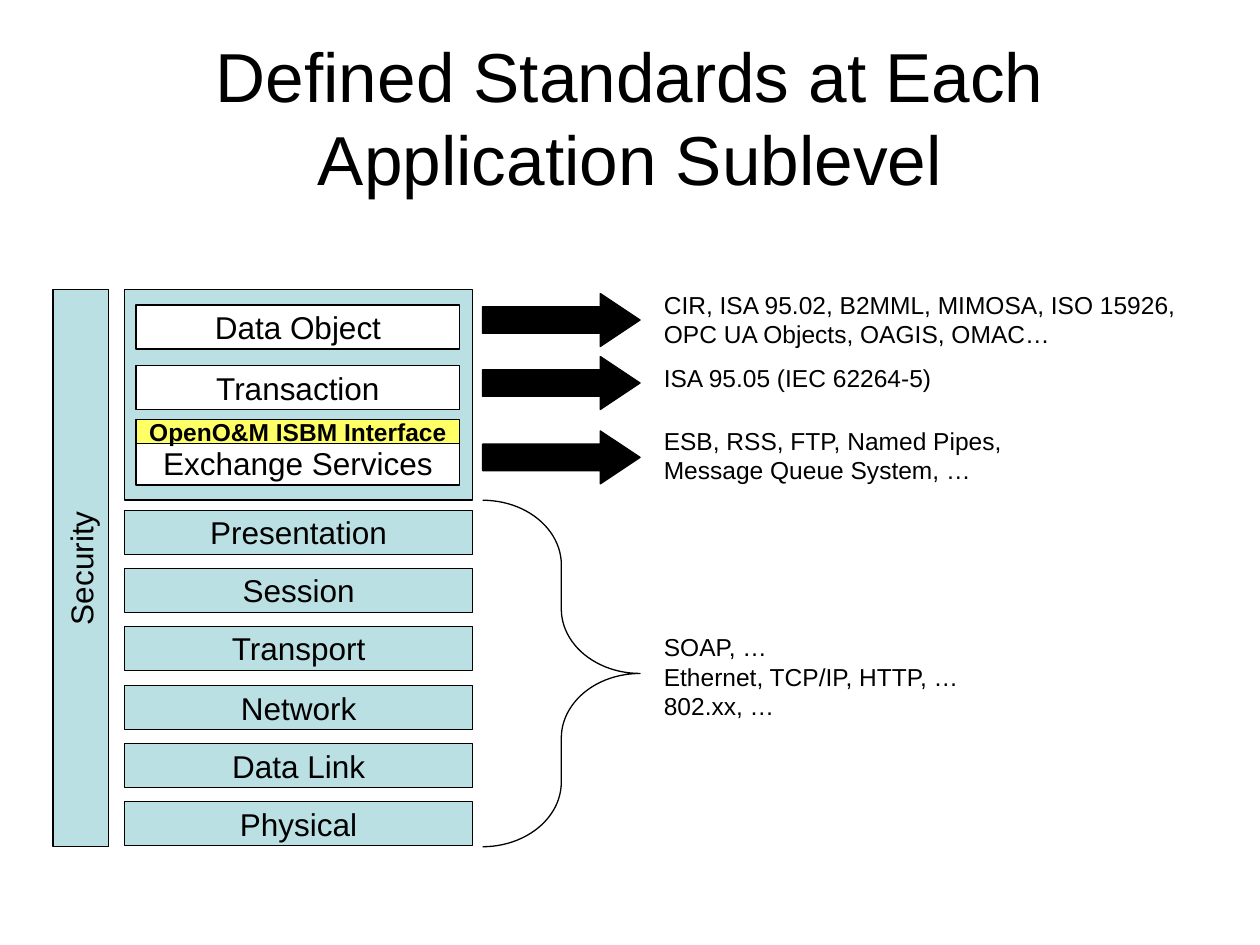
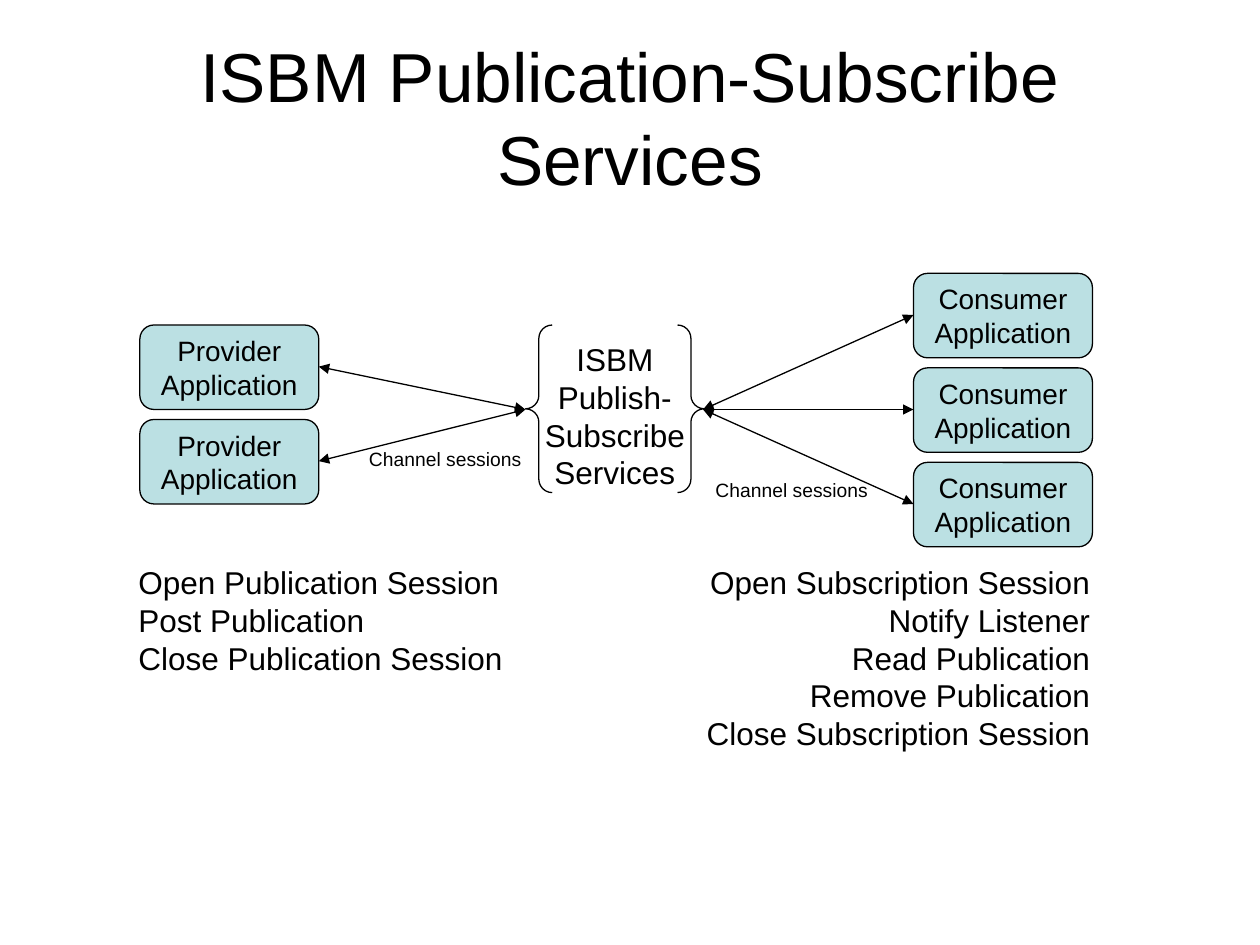
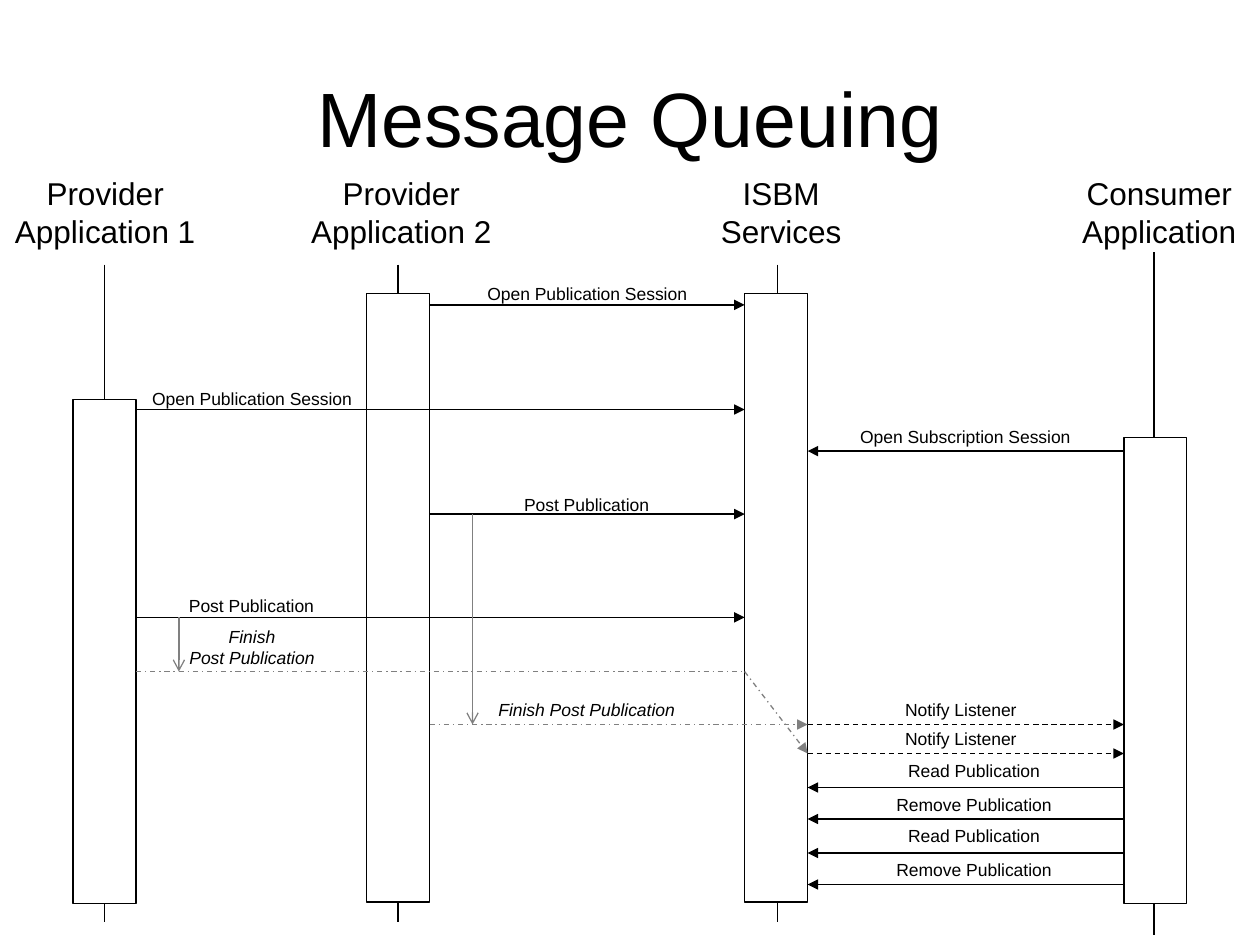
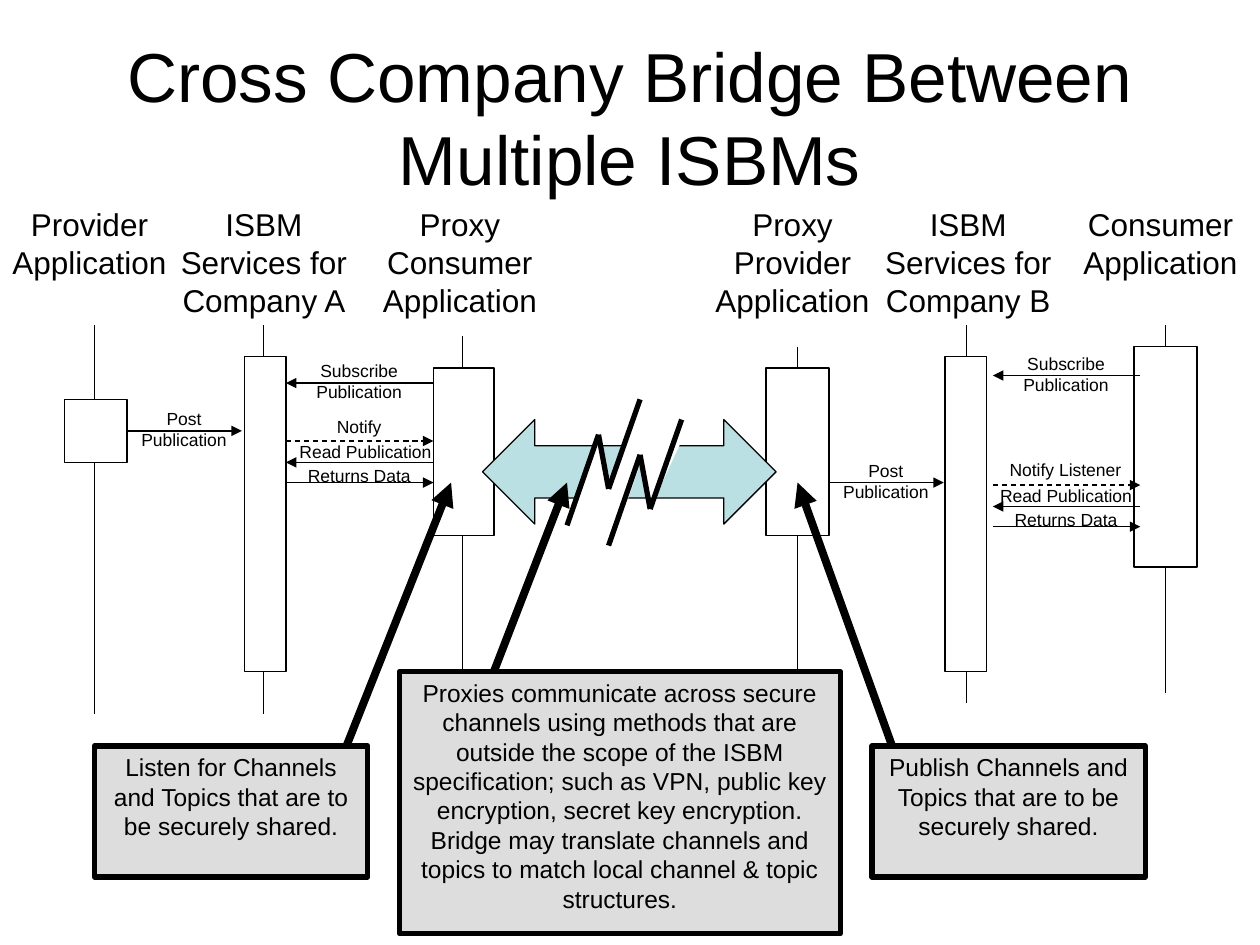
from dataclasses import dataclass
from typing import Optional

from lxml.etree import SubElement
from pptx import Presentation
from pptx.dml.color import RGBColor
from pptx.enum.dml import MSO_LINE_DASH_STYLE as Dash
from pptx.enum.shapes import MSO_AUTO_SHAPE_TYPE as Geometry
from pptx.enum.shapes import MSO_CONNECTOR as Connector
from pptx.enum.text import MSO_ANCHOR as Anchor
from pptx.enum.text import MSO_AUTO_SIZE as AutoSize
from pptx.enum.text import PP_ALIGN as Align
from pptx.oxml.ns import qn
from pptx.slide import Slide
from pptx.text.text import TextFrame
from pptx.util import Pt

PX = 9144
PAGE_WIDTH, PAGE_HEIGHT = 1000, 750
FONT = "Arial"
BLACK = RGBColor(0x00, 0x00, 0x00)
WHITE = RGBColor(0xFF, 0xFF, 0xFF)
GREY = RGBColor(0x80, 0x80, 0x80)
LIGHT_GREY = RGBColor(0xDD, 0xDD, 0xDD)
TEAL = RGBColor(0xBB, 0xE0, 0xE3)
YELLOW = RGBColor(0xFF, 0xFF, 0x66)
HAIRLINE, FRAME, POINTER = 0.75, 3, 4.5


@dataclass(frozen=True)
class Block:
    left: int
    top: int
    width: int
    height: int
    text: str = ""
    fill: Optional[RGBColor] = WHITE
    size: float = 18
    bold: bool = False
    geometry: Geometry = Geometry.RECTANGLE
    adjustments: tuple[float, ...] = ()
    weight: float = HAIRLINE
    rotation: int = 0
    wrap: bool = False
    anchor: Anchor = Anchor.MIDDLE


@dataclass(frozen=True)
class Label:
    left: int
    top: int
    width: int
    text: str
    size: float = 10
    align: Align = Align.CENTER
    italic: bool = False


@dataclass(frozen=True)
class Line:
    x1: int
    y1: int
    x2: int
    y2: int
    tail: str = "triangle"
    head: str = ""
    color: RGBColor = BLACK
    weight: float = HAIRLINE
    dash: Optional[Dash] = None


@dataclass(frozen=True)
class Lifeline:
    label: Label
    axis: int
    start: int
    end: int
    bar: Block


def write(frame: TextFrame, text: str, size: float, align: Align,
          bold: bool = False, italic: bool = False) -> None:
    frame.text = text
    for para in frame.paragraphs:
        para.alignment = align
        font = para.font
        font.name, font.size = FONT, Pt(size)
        font.bold, font.italic = bold, italic
        font.color.rgb = BLACK


def draw_block(page: Slide, block: Block) -> None:
    shape = page.shapes.add_shape(
        block.geometry, block.left * PX, block.top * PX, block.width * PX, block.height * PX)
    shape.shadow.inherit = False
    shape.rotation = block.rotation
    for index, value in enumerate(block.adjustments):
        shape.adjustments[index] = value
    if block.fill is None:
        shape.fill.background()
    else:
        shape.fill.solid()
        shape.fill.fore_color.rgb = block.fill
    shape.line.color.rgb = BLACK
    shape.line.width = Pt(block.weight)
    if block.text:
        frame = shape.text_frame
        frame.word_wrap = block.wrap
        frame.vertical_anchor = block.anchor
        write(frame, block.text, block.size, Align.CENTER, bold=block.bold)


def draw_label(page: Slide, label: Label) -> None:
    rows = label.text.count("\n") + 1
    height = 10 + round(rows * label.size * 1.67)
    box = page.shapes.add_textbox(
        label.left * PX, label.top * PX, label.width * PX, height * PX)
    frame = box.text_frame
    frame.word_wrap = False
    frame.auto_size = AutoSize.SHAPE_TO_FIT_TEXT
    write(frame, label.text, label.size, label.align, italic=label.italic)


def draw_line(page: Slide, line: Line) -> None:
    connector = page.shapes.add_connector(
        Connector.STRAIGHT, line.x1 * PX, line.y1 * PX, line.x2 * PX, line.y2 * PX)
    connector.line.color.rgb = line.color
    connector.line.width = Pt(line.weight)
    if line.dash is not None:
        connector.line.dash_style = line.dash
    outline = connector.line._get_or_add_ln()
    for tag, kind in (("a:headEnd", line.head), ("a:tailEnd", line.tail)):
        if kind:
            SubElement(outline, qn(tag)).set("type", kind)
    SubElement(connector._element.spPr, qn("a:effectLst"))


def draw_all(page: Slide, *items: Block | Label | Line) -> None:
    for item in items:
        if isinstance(item, Block):
            draw_block(page, item)
        elif isinstance(item, Label):
            draw_label(page, item)
        else:
            draw_line(page, item)


def draw_lifelines(page: Slide, lifelines: list[Lifeline]) -> None:
    for life in lifelines:
        draw_line(page, Line(life.axis, life.start, life.axis, life.end, tail=""))
    for life in lifelines:
        draw_all(page, life.bar, life.label)


def heading(left: int, top: int, width: int, text: str) -> Label:
    return Label(left, top, width, text, size=18)


def new_page(deck: Presentation, title: str, size: float = 39.6) -> Slide:
    page = deck.slides.add_slide(deck.slide_layouts[6])
    box = page.shapes.add_textbox(50 * PX, 30 * PX, 900 * PX, 125 * PX)
    box.text_frame.word_wrap = True
    box.text_frame.vertical_anchor = Anchor.MIDDLE
    write(box.text_frame, title, size, Align.CENTER)
    return page


def build_standards(deck: Presentation) -> None:
    page = new_page(deck, "Defined Standards at Each Application Sublevel")
    for top in (233, 283, 342):
        draw_block(page, Block(383, top, 125, 42, fill=BLACK,
                               geometry=Geometry.RIGHT_ARROW, adjustments=(0.5, 0.75)))
    draw_block(page, Block(383, 397, 125, 275, fill=None,
                           geometry=Geometry.RIGHT_BRACE, adjustments=(0.41, 0.5)))
    standards = (
        (225, 429, "CIR, ISA 95.02, B2MML, MIMOSA, ISO 15926,\nOPC UA Objects, OAGIS, OMAC…"),
        (283, 234, "ISA 95.05 (IEC 62264-5)"),
        (333, 307, "ESB, RSS, FTP, Named Pipes,\nMessage Queue System, …"),
        (497, 259, "SOAP, …\nEthernet, TCP/IP, HTTP, …\n802.xx, …"),
    )
    for top, width, text in standards:
        draw_label(page, Label(517, top, width, text, size=14, align=Align.LEFT))
    layers = ("Presentation", "Session", "Transport", "Network", "Data Link", "Physical")
    for index, name in enumerate(layers):
        draw_block(page, Block(99, 405 + round(46.2 * index), 276, 35, name, TEAL))
    draw_all(
        page,
        Block(99, 230, 276, 167, fill=TEAL),
        Block(-157, 429, 442, 44, "Security", TEAL, rotation=270),
        Block(108, 350, 257, 35, "Exchange Services"),
        Block(108, 290, 257, 35, "Transaction"),
        Block(108, 242, 257, 35, "Data Object"),
        Block(108, 333, 257, 19, "OpenO&M ISBM Interface", YELLOW, size=14, bold=True),
    )


def build_publish_subscribe(deck: Presentation) -> None:
    page = new_page(deck, "ISBM Publication-Subscribe Services")
    hub_left, hub_right, hub_middle = 417, 558, 325
    sides = (("Provider", 111, 258, 2, 253, hub_left),
             ("Consumer", 725, 217, 3, 725, hub_right))
    for role, left, first_top, count, edge, hub in sides:
        for top in range(first_top, first_top + 75 * count, 75):
            draw_all(
                page,
                Block(left, top, 142, 67, f"{role}\nApplication", TEAL, size=16,
                      geometry=Geometry.ROUNDED_RECTANGLE),
                Line(edge, top + 33, hub, hub_middle, head="triangle"),
            )
    draw_all(
        page,
        Block(hub_left, 258, 142, 133, "ISBM\nPublish-\nSubscribe\nServices", None,
              geometry=Geometry.DOUBLE_BRACE, adjustments=(0.08,)),
        Label(283, 350, 142, "Channel sessions", 11, Align.LEFT),
        Label(558, 375, 142, "Channel sessions", 11, Align.LEFT),
        Label(100, 442, 316, "Open Publication Session\nPost Publication\n"
              "Close Publication Session", 18, Align.LEFT),
        Label(548, 442, 327, "Open Subscription Session\nNotify Listener\nRead Publication\n"
              "Remove Publication\nClose Subscription Session", 18, Align.RIGHT),
    )


def build_message_queuing(deck: Presentation) -> None:
    page = new_page(deck, "Message Queuing", 44)
    draw_lifelines(page, [
        Lifeline(heading(2, 133, 163, "Provider\nApplication 1"), 83, 210, 732,
                 Block(58, 317, 50, 400)),
        Lifeline(heading(237, 133, 163, "Provider\nApplication 2"), 316, 210, 732,
                 Block(291, 233, 50, 483)),
        Lifeline(heading(562, 133, 116, "ISBM\nServices"), 617, 210, 732,
                 Block(591, 233, 50, 483)),
        Lifeline(heading(849, 133, 142, "Consumer\nApplication"), 916, 200, 742,
                 Block(892, 347, 50, 370)),
    ])
    first, second, service_in, service_out, consumer = 108, 341, 591, 641, 892
    draw_all(
        page,
        Line(second, 242, service_in, 242),
        Label(376, 220, 180, "Open Publication Session"),
        Line(first, 325, service_in, 325),
        Label(110, 303, 180, "Open Publication Session"),
        Line(consumer, 358, service_out, 358),
        Label(672, 333, 188, "Open Subscription Session"),
        Line(second, 408, service_in, 408),
        Label(406, 387, 119, "Post Publication"),
        Line(first, 490, service_in, 490),
        Label(140, 467, 119, "Post Publication"),
        Line(375, 408, 375, 575, tail="arrow", color=GREY),
        Line(142, 490, 142, 533, tail="arrow", color=GREY),
        Label(140, 492, 120, "Finish\nPost Publication", italic=True),
        Label(385, 550, 161, "Finish Post Publication", italic=True),
        Line(first, 533, service_in, 533, tail="", color=GREY, dash=Dash.DASH_DOT),
        Line(service_in, 533, service_out, 598, color=GREY, dash=Dash.DASH_DOT),
        Line(second, 575, service_out, 575, color=GREY, dash=Dash.DASH_DOT),
    )
    for y, label_top in ((575, 550), (598, 573)):
        draw_all(page, Line(service_out, y, consumer, y, dash=Dash.DASH),
                 Label(708, label_top, 109, "Notify Listener"))
    for read_y, remove_y, label_top in ((625, 650, 598), (677, 702, 650)):
        draw_all(
            page,
            Line(consumer, read_y, service_out, read_y),
            Label(710, label_top, 126, "Read Publication"),
            Line(consumer, remove_y, service_out, remove_y),
            Label(701, read_y, 144, "Remove Publication"),
        )


def draw_exchange(page: Slide, left: int, subscribe_y: int, notify_y: int,
                  notify: Label, read_shift: int = 0) -> None:
    right, middle = left + 117, left + 58
    read_y, return_y = notify_y + 17, notify_y + 33
    draw_all(
        page,
        Line(right, subscribe_y, left, subscribe_y),
        Label(middle - 44, subscribe_y - 23, 88, "Subscribe\nPublication"),
        Line(left, notify_y, right, notify_y, dash=Dash.DASH),
        notify,
        Line(right, read_y, left, read_y),
        Label(middle - 63 + read_shift, notify_y - 5, 126, "Read Publication"),
        Line(left, return_y, right, return_y),
        Label(middle - 51, notify_y + 14, 102, "Returns Data"),
    )


def draw_bridge(page: Slide) -> None:
    draw_block(page, Block(383, 333, 233, 83, fill=TEAL,
                           geometry=Geometry.LEFT_RIGHT_ARROW, adjustments=(0.5, 0.5)))
    outline = [(456, 397), (475, 353), (485, 384), (496, 353), (539, 353),
               (518, 398), (508, 367), (498, 396)]
    builder = page.shapes.build_freeform(*outline[0], scale=PX)
    builder.add_line_segments(outline[1:], close=True)
    gap = builder.convert_to_shape()
    gap.shadow.inherit = False
    gap.fill.solid()
    gap.fill.fore_color.rgb = WHITE
    gap.line.color.rgb = WHITE
    gap.line.width = Pt(HAIRLINE)
    for x, y in ((450, 417), (483, 433)):
        bolt = [(x, y), (x + 25, y - 72), (x + 33, y - 29), (x + 58, y - 100)]
        for start, end in zip(bolt, bolt[1:]):
            draw_line(page, Line(*start, *end, tail="", weight=FRAME))


def build_bridge(deck: Presentation) -> None:
    page = new_page(deck, "Cross Company Bridge Between Multiple ISBMs")
    draw_lifelines(page, [
        Lifeline(heading(-1, 158, 144, "Provider\nApplication"), 75, 258, 567,
                 Block(51, 317, 50, 50)),
        Lifeline(heading(133, 158, 153, "ISBM\nServices for\nCompany A"), 209, 258, 567,
                 Block(194, 283, 33, 250)),
        Lifeline(heading(293, 158, 144, "Proxy\nConsumer\nApplication"), 367, 267, 558,
                 Block(344, 292, 48, 133)),
        Lifeline(heading(557, 158, 144, "Proxy\nProvider\nApplication"), 633, 275, 550,
                 Block(608, 292, 50, 133)),
        Lifeline(heading(692, 158, 153, "ISBM\nServices for\nCompany B"), 767, 258, 558,
                 Block(750, 283, 33, 250)),
        Lifeline(heading(849, 158, 144, "Consumer\nApplication"), 925, 258, 550,
                 Block(900, 275, 50, 175)),
    ])
    for left, y in ((101, 342), (658, 383)):
        draw_all(page, Line(left, y, left + 91, y),
                 Label(left + 1, y - 23, 88, "Post\nPublication"))
    draw_exchange(page, 227, 304, 350, Label(257, 325, 56, "Notify"), read_shift=5)
    draw_exchange(page, 788, 298, 385, Label(791, 359, 109, "Notify Listener"))
    draw_bridge(page)
    callouts = (
        (75, 592, 217, 104, "Listen for Channels and Topics that are to be securely shared.",
         275, 358),
        (317, 533, 350, 208, "Proxies communicate across secure channels using methods that are "
         "outside the scope of the ISBM specification; such as VPN, public key encryption, "
         "secret key encryption. Bridge may translate channels and topics to match local "
         "channel & topic structures.", 392, 450),
        (692, 592, 217, 104, "Publish Channels and Topics that are to be securely shared.",
         708, 633),
    )
    for left, top, width, height, text, start, target in callouts:
        draw_all(
            page,
            Line(start, top, target, 383, weight=POINTER),
            Block(left, top, width, height, text, LIGHT_GREY, size=14, weight=FRAME,
                  wrap=True, anchor=Anchor.TOP),
        )


def main() -> None:
    deck = Presentation()
    deck.slide_width = PAGE_WIDTH * PX
    deck.slide_height = PAGE_HEIGHT * PX
    build_standards(deck)
    build_publish_subscribe(deck)
    build_message_queuing(deck)
    build_bridge(deck)
    deck.save("out.pptx")


if __name__ == "__main__":
    main()
